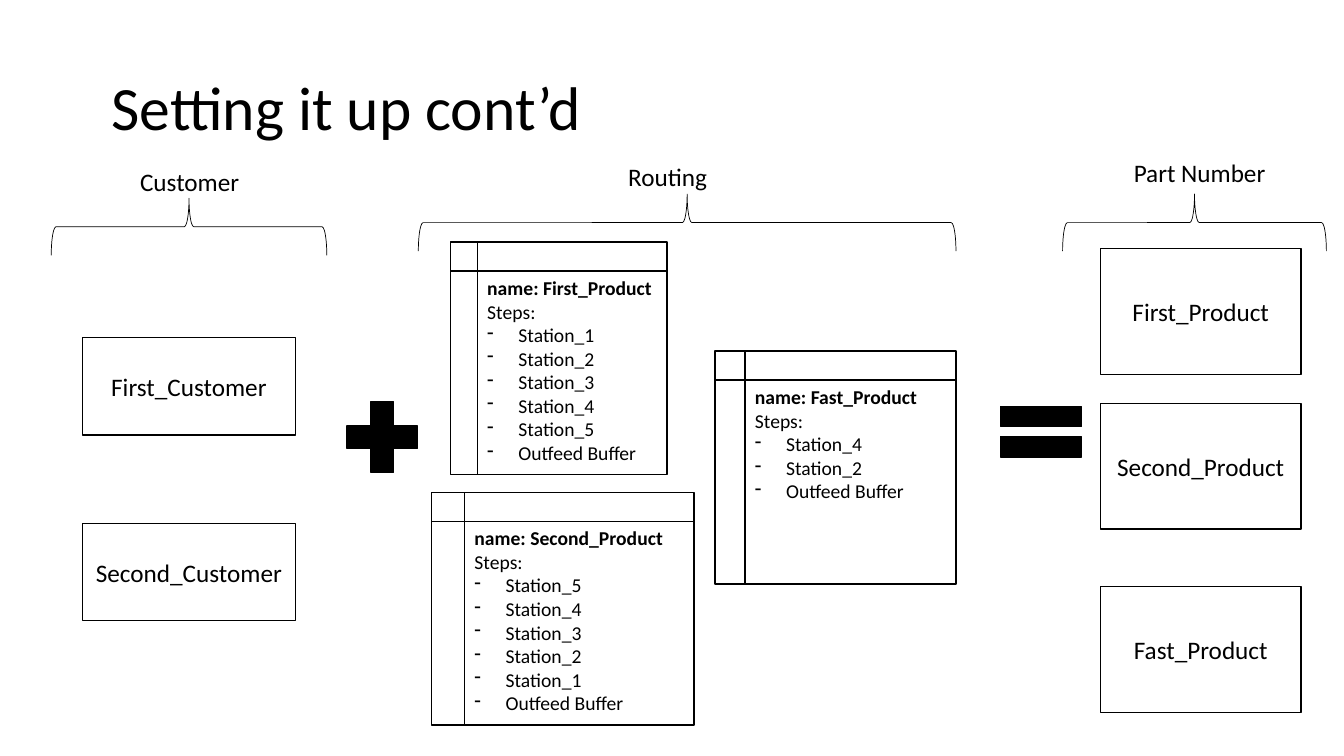
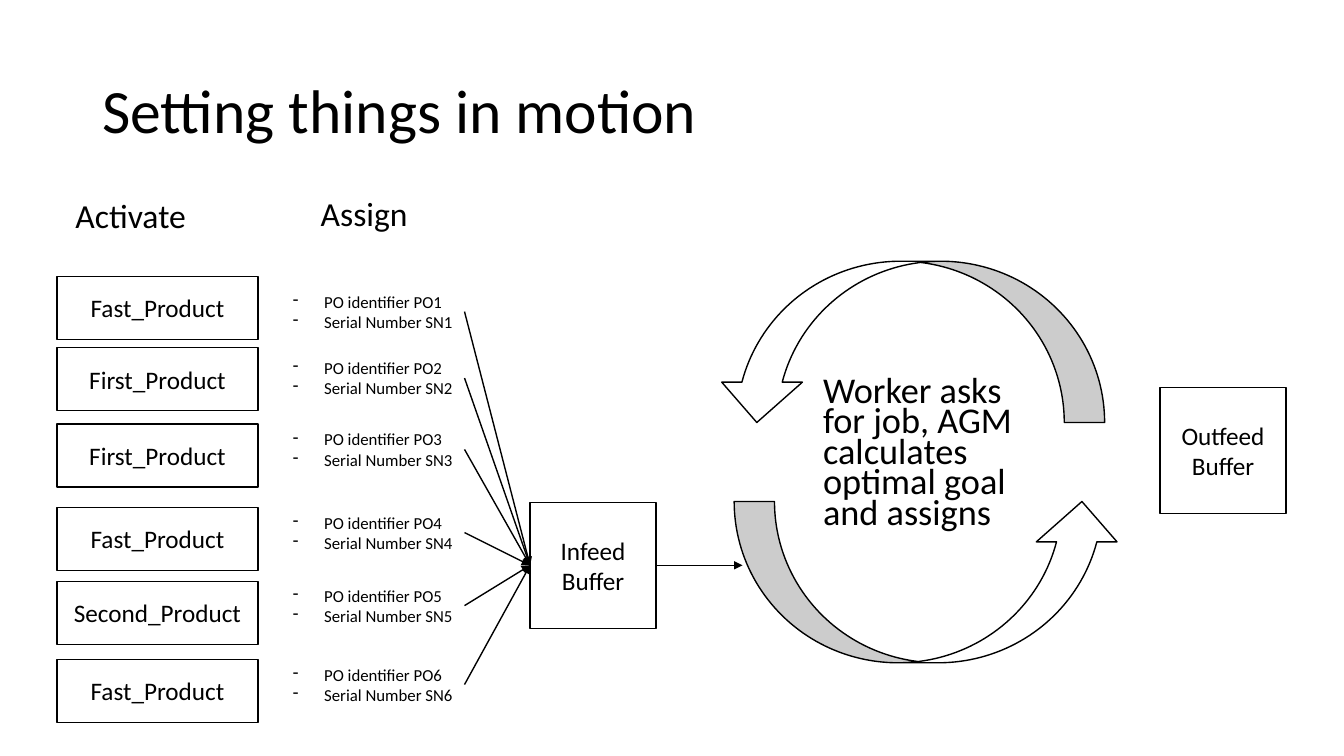
"""Builds two slides on production routing, on a grid of 160 by 90 squares."""
from lxml import etree
from pptx import Presentation
from pptx.dml.color import RGBColor
from pptx.enum.shapes import MSO_CONNECTOR, MSO_SHAPE
from pptx.enum.text import MSO_ANCHOR, PP_ALIGN
from pptx.oxml.ns import qn
from pptx.util import Inches, Pt

BLACK = RGBColor(0x00, 0x00, 0x00)
WHITE = RGBColor(0xFF, 0xFF, 0xFF)
FONT = "Calibri"
UNIT = Inches(1) // 12
INDENT = Inches(0.31)
RECT = MSO_SHAPE.RECTANGLE
STORE = MSO_SHAPE.FLOWCHART_INTERNAL_STORAGE
BRACE = MSO_SHAPE.LEFT_BRACE
CURVE = MSO_SHAPE.CURVED_RIGHT_ARROW
PLUS = MSO_SHAPE.MATH_PLUS
EQUAL = MSO_SHAPE.MATH_EQUAL
LINE = MSO_CONNECTOR.STRAIGHT
LEFT, CENTER = PP_ALIGN.LEFT, PP_ALIGN.CENTER
TOP, MIDDLE = MSO_ANCHOR.TOP, MSO_ANCHOR.MIDDLE


def write(shape, lines, size=18, align=LEFT, anchor=TOP):
    """Fill a shape with lines: '*' marks a bold line and '-' a bullet."""
    frame = shape.text_frame
    frame.word_wrap = True
    frame.vertical_anchor = anchor
    for row, line in enumerate(lines):
        para = frame.add_paragraph() if row else frame.paragraphs[0]
        para.alignment = align
        run = para.add_run()
        run.text = line.lstrip("*-")
        run.font.name = FONT
        run.font.size = Pt(size)
        run.font.bold = line.startswith("*")
        run.font.color.rgb = BLACK
        if line.startswith("-"):
            props = para._p.get_or_add_pPr()
            props.set("marL", str(INDENT))
            props.set("indent", str(-INDENT))
            etree.SubElement(props, qn("a:buChar")).set("char", "-")
    return frame


def draw(slide, kind, box, fill=WHITE, weight=1, turn=0):
    """Place a preset shape, or a text box when kind is None."""
    spot = [round(side * UNIT) for side in box]
    if kind is None:
        shape = slide.shapes.add_textbox(*spot)
        shape.text_frame.margin_right = 0
        return shape
    shape = slide.shapes.add_shape(kind, *spot)
    shape.shadow.inherit = False
    shape.rotation = turn
    shape.line.color.rgb = BLACK
    shape.line.width = Pt(weight)
    if fill is None:
        shape.fill.background()
    else:
        shape.fill.solid()
        shape.fill.fore_color.rgb = fill
    return shape


deck = Presentation()
deck.slide_width, deck.slide_height = 160 * UNIT, 90 * UNIT
blank = deck.slide_layouts[6]
setup, motion = deck.slides.add_slide(blank), deck.slides.add_slide(blank)

for slide, left, top, title in [
    (setup, 12.1, 4.4, "Setting it up cont’d"),
    (motion, 11, 4.8, "Setting things in motion"),
]:
    frame = write(draw(slide, None, (left, top, 138, 17.4)), [title], 44, anchor=MIDDLE)
    frame.paragraphs[0].line_spacing = 0.9

for label, left, top, wide, mid, level, span in [
    ("Customer", 15.5, 19.2, 14.4, 22.5, 27, 32.8),
    ("Routing", 73.6, 18.6, 11.9, 81.8, 26.5, 64),
    ("Part Number", 133.8, 18.1, 18.2, 142.2, 26.5, 31.4),
]:
    write(draw(setup, None, (left, top, wide, 4.8)), [label])
    draw(setup, BRACE, (mid - 3.4, level - span / 2, 6.8, span), None, 0.5, 90)

for left, wide, high, names in [
    (9.8, 25.4, 11.6, {"First_Customer": 40.2, "Second_Customer": 62.3}),
    (131, 23.9, 15, {"First_Product": 29.6, "Second_Product": 48, "Fast_Product": 69.8}),
]:
    for name, top in names.items():
        write(draw(setup, RECT, (left, top, wide, high)), [name], 18, CENTER, MIDDLE)

for name, left, top, wide, stops in [
    ("First_Product", 53.6, 28.8, 25.8, (1, 2, 3, 4, 5)),
    ("Second_Product", 51.4, 58.6, 31.2, (5, 4, 3, 2, 1)),
    ("Fast_Product", 85.1, 41.8, 28.7, (4, 2)),
]:
    steps = [f"-Station_{stop}" for stop in stops]
    lines = [f"*name: {name}", "Steps:", *steps, "-Outfeed Buffer"]
    write(draw(setup, STORE, (left, top, wide, 27.7)), lines, 14)

draw(setup, PLUS, (39.8, 46.3, 11.4, 11.5), BLACK)
draw(setup, EQUAL, (117.4, 46.3, 13.1, 10.2), BLACK)

for label, left, top in [("Activate", 7.8, 22.6), ("Assign", 37, 22.4)]:
    write(draw(motion, None, (left, top, 29.2, 6)), [label], 24)

infeed = draw(motion, RECT, (63.1, 59.8, 15, 15))
outfeed = draw(motion, RECT, (138.1, 46.1, 15, 15))
for box, name in [(infeed, "Infeed Buffer"), (outfeed, "Outfeed Buffer")]:
    write(box, [name], 18, CENTER, MIDDLE)

draw(motion, CURVE, (100.9, 46.2, 19.2, 46.2), turn=270)
draw(motion, CURVE, (98.8, 17.6, 19.2, 46.2), turn=90)

links = []
for count, (name, top, level) in enumerate([
    ("Fast_Product", 32.9, 34.1),
    ("First_Product", 41.4, 42),
    ("First_Product", 50.5, 50.5),
    ("Fast_Product", 60.4, 60.4),
    ("Second_Product", 69.2, 69.1),
    ("Fast_Product", 78.5, 78.5),
], 1):
    write(draw(motion, RECT, (6.8, top, 23.9, 7.5)), [name], 18, CENTER, MIDDLE)
    note = draw(motion, None, (33.7, level, 21.6, 6))
    write(note, [f"-PO identifier PO{count}", f"-Serial Number SN{count}"], 12)
    link = motion.shapes.add_connector(LINE, 0, 0, 0, 0)
    link.begin_connect(note, 3)
    link.end_connect(infeed, 1)
    links.append(link)

level = round(67.3 * UNIT)
link = motion.shapes.add_connector(LINE, 0, level, round(88.4 * UNIT), level)
link.begin_connect(infeed, 3)
links.append(link)

for link in links:
    link.line.color.rgb = BLACK
    link.line.width = Pt(1)
    etree.SubElement(link.line._get_or_add_ln(), qn("a:tailEnd")).set("type", "triangle")
    etree.SubElement(link._element.spPr, qn("a:effectLst"))

goal = "Worker asks for job, AGM calculates optimal goal and assigns"
para = write(draw(motion, None, (96.8, 44.5, 25.6, 21)), [goal], 25.9).paragraphs[0]
para.line_spacing = 0.7
para.space_before = Pt(10)

deck.save("out.pptx")
